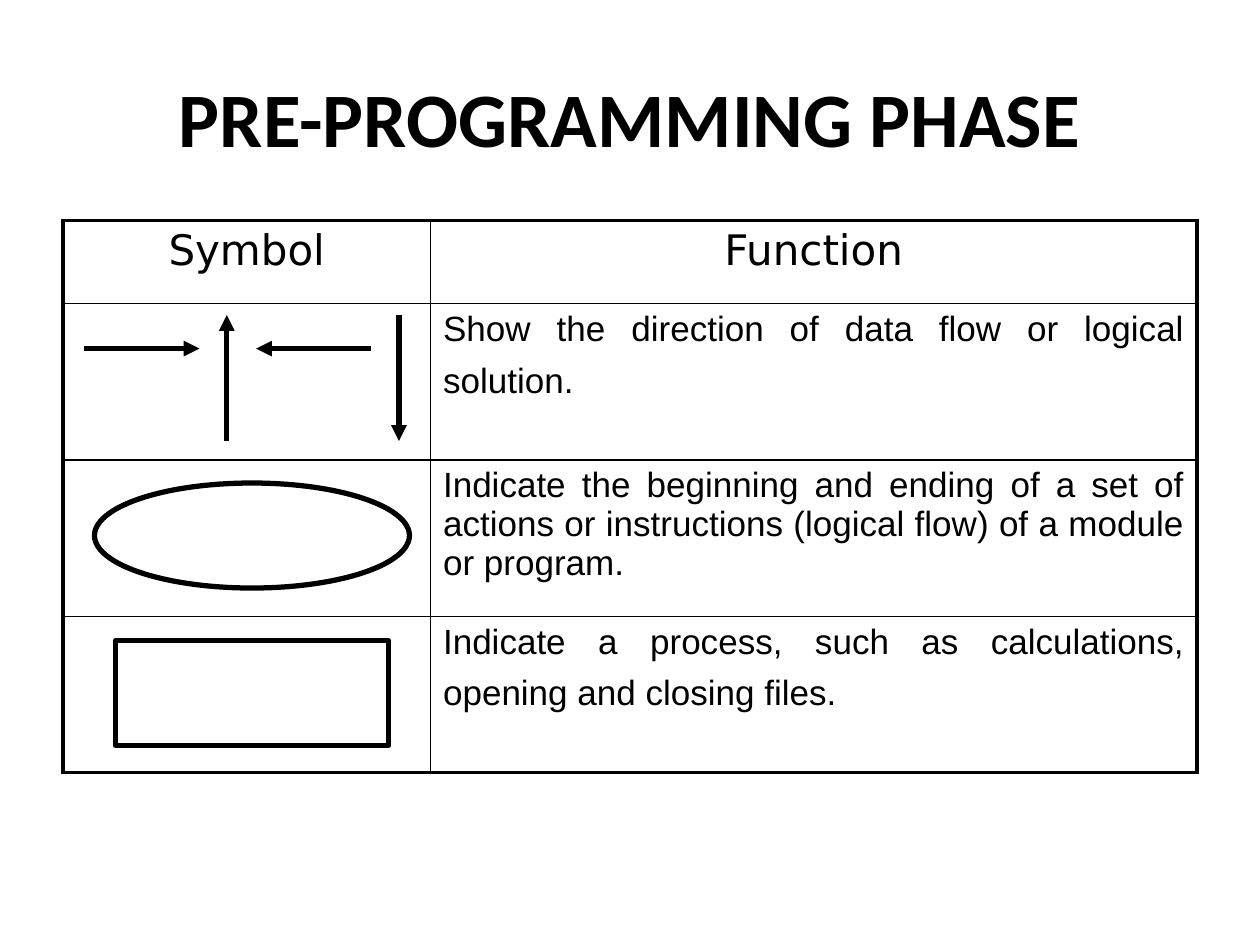
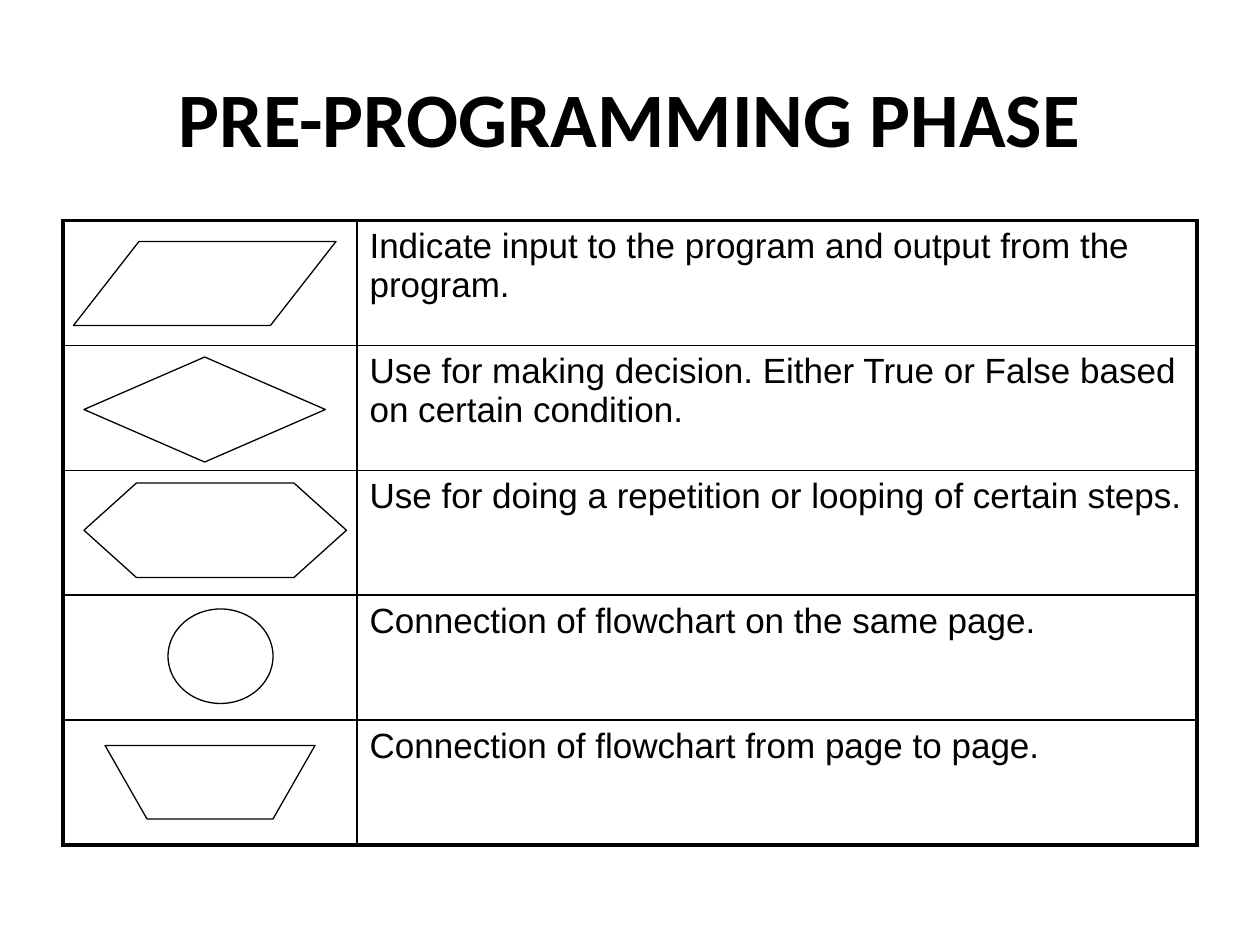
from pptx import Presentation
from pptx.dml.color import RGBColor
from pptx.enum.shapes import MSO_CONNECTOR, MSO_SHAPE
from pptx.enum.text import MSO_ANCHOR, PP_ALIGN
from pptx.oxml import parse_xml
from pptx.oxml.ns import nsdecls
from pptx.util import Pt

PX = 7620  # 120 px to the inch
BLACK = RGBColor(0, 0, 0)
WHITE = RGBColor(255, 255, 255)
TITLE = "PRE-PROGRAMMING PHASE"
THICK, THIN = 2.25, 1
LEFT, TOP = 60, 210

# Function text, and whether a tall space ends it to open up its last line
FLOW = [
    ("Show the direction of data flow or logical solution.", True),
    ("Indicate the beginning and ending of a set of actions or "
     "instructions (logical flow) of a module or program.", False),
    ("Indicate a process, such as calculations, opening and closing files.",
     True),
]
STEPS = [
    ("Indicate input to the program and output from the program.", False),
    ("Use for making decision. Either True or False based on certain "
     "condition.", False),
    ("Use for doing a repetition or looping of certain steps.", False),
    ("Connection of flowchart on the same page.", False),
    ("Connection of flowchart from page to page.", False),
]
ARROWS = [
    (80, 332, 190, 332),
    (216, 420, 216, 300),
    (380, 300, 380, 420),
    (353, 332, 244, 332),
]
SIGNS = [
    (MSO_SHAPE.PARALLELOGRAM, 70, 230, 250, 80),
    (MSO_SHAPE.DIAMOND, 80, 340, 230, 100),
    (MSO_SHAPE.FLOWCHART_PREPARATION, 80, 460, 250, 90),
    (MSO_SHAPE.OVAL, 160, 580, 100, 90),
    (MSO_SHAPE.FLOWCHART_MANUAL_OPERATION, 100, 710, 200, 70),
]


def emu(*sizes):
    return [size * PX for size in sizes]


def style(run, size, face, bold=False):
    font = run.font
    font.size, font.name, font.bold = Pt(size), face, bold
    font.color.rgb = BLACK


def start(deck):
    """Add a slide with the shared title."""
    slide = deck.slides.add_slide(deck.slide_layouts[5])
    title = slide.shapes.title
    title.left, title.top, title.width, title.height = emu(60, 36, 1080, 150)
    frame = title.text_frame
    frame.text = TITLE
    frame.vertical_anchor = MSO_ANCHOR.MIDDLE
    para = frame.paragraphs[0]
    para.alignment = PP_ALIGN.CENTER
    style(para.runs[0], 44, "Calibri", True)
    return slide


def edge(cell, side, width):
    cell._tc.get_or_add_tcPr().append(parse_xml(
        f'<a:ln{side} {nsdecls("a")} w="{Pt(width)}"><a:solidFill>'
        f'<a:srgbClr val="{BLACK}"/></a:solidFill></a:ln{side}>'))


def grid(slide, cols, rows):
    """Add a clear table with a thick frame and thin inner rules."""
    shape = slide.shapes.add_table(
        len(rows), len(cols), *emu(LEFT, TOP, sum(cols), sum(rows)))
    table = shape.table
    table.first_row = table.horz_banding = False
    for col, width in zip(table.columns, emu(*cols)):
        col.width = width
    for row, height in zip(table.rows, emu(*rows)):
        row.height = height
    for r in range(len(rows)):
        for c in range(len(cols)):
            cell = table.cell(r, c)
            outer = {"L": c == 0, "R": c == len(cols) - 1,
                     "T": r == 0, "B": r == len(rows) - 1}
            for side, thick in outer.items():
                edge(cell, side, THICK if thick else THIN)
            cell.fill.background()
    return table


def write(cell, text, size, face, align):
    cell.text_frame.text = text
    para = cell.text_frame.paragraphs[0]
    para.alignment = align
    style(para.runs[0], size, face)
    return para


def fill(table, notes, first, align):
    """Write the function texts down the right column."""
    for row, (text, tall) in enumerate(notes, first):
        para = write(table.cell(row, 1), text, 20, "Arial", align)
        if tall:
            gap = para.add_run()
            gap.text = " "
            style(gap, 28, "Arial")


def sign(slide, kind, box, width):
    shape = slide.shapes.add_shape(kind, *emu(*box))
    shape.shadow.inherit = False
    shape.fill.solid()
    shape.fill.fore_color.rgb = WHITE
    shape.line.color.rgb = BLACK
    shape.line.width = Pt(width)
    return shape


def arrow(group, ends):
    link = group.shapes.add_connector(MSO_CONNECTOR.STRAIGHT, *emu(*ends))
    link.line.color.rgb = BLACK
    link.line.width = Pt(3)
    link.line._get_or_add_ln().append(
        parse_xml(f'<a:tailEnd {nsdecls("a")} type="triangle"/>'))
    link._element.spPr.append(parse_xml(f'<a:effectLst {nsdecls("a")}/>'))


def basics(deck):
    """Arrows, terminal and process."""
    slide = start(deck)
    table = grid(slide, [350, 730], [79] + [149] * 3)
    for col, head in enumerate(["Symbol", "Function"]):
        write(table.cell(0, col), head, 24, "DejaVu Sans", PP_ALIGN.CENTER)
    fill(table, FLOW, 1, PP_ALIGN.JUSTIFY)
    group = slide.shapes.add_group_shape()
    for ends in ARROWS:
        arrow(group, ends)
    sign(slide, MSO_SHAPE.OVAL, (90, 460, 300, 100), 3)
    sign(slide, MSO_SHAPE.RECTANGLE, (110, 610, 260, 100), 3)


def others(deck):
    """Input, decision, loop and connectors."""
    slide = start(deck)
    table = grid(slide, [280, 800], [119] * len(STEPS))
    fill(table, STEPS, 0, PP_ALIGN.LEFT)
    for kind, *box in SIGNS:
        shape = sign(slide, kind, box, 0.75)
        if kind == MSO_SHAPE.PARALLELOGRAM:
            shape.adjustments[0] = 0.78


def main():
    deck = Presentation()
    deck.slide_width, deck.slide_height = emu(1200, 900)
    basics(deck)
    others(deck)
    deck.save("out.pptx")


if __name__ == "__main__":
    main()
